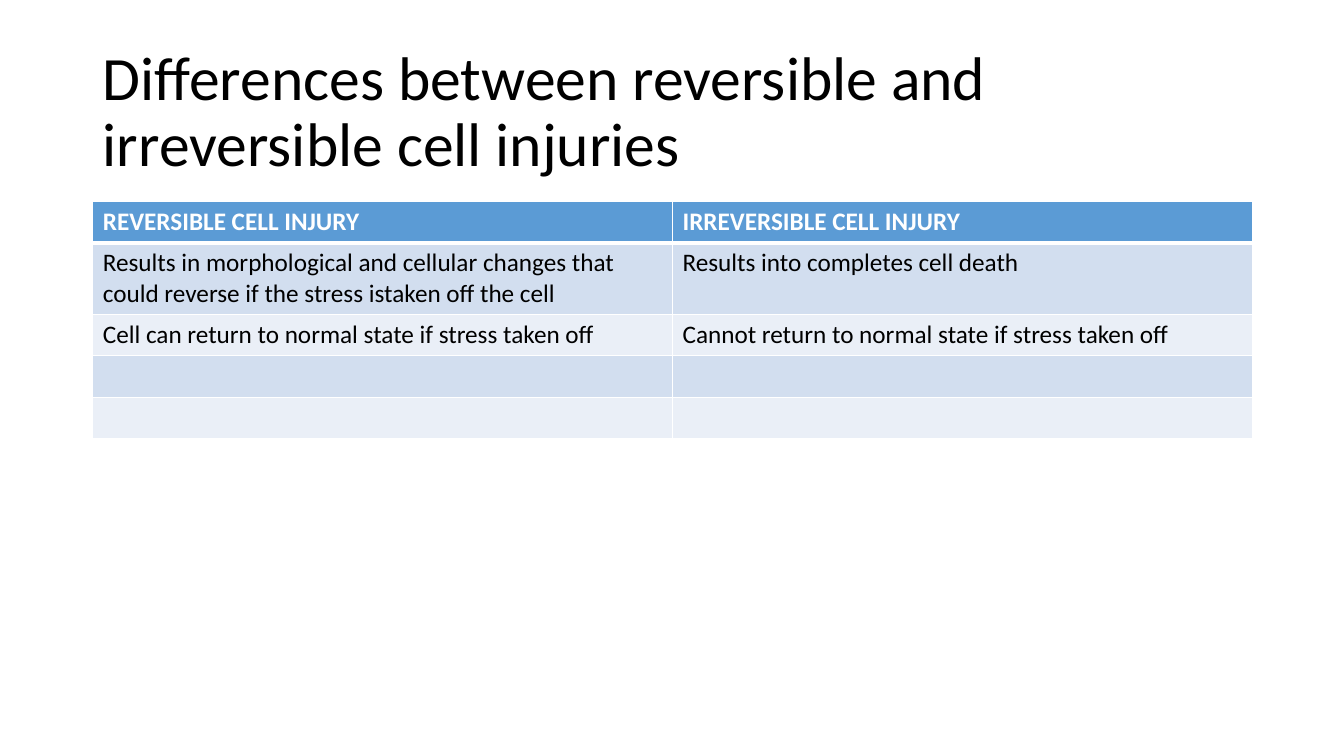
"""Build a slide that compares reversible and irreversible cell injuries."""
import dataclasses

import lxml.etree
import pptx
import pptx.dml.color
import pptx.enum.text
import pptx.oxml.ns
import pptx.table
import pptx.text.text
import pptx.util

Inches = pptx.util.Inches
Pt = pptx.util.Pt
FONT = "Calibri"
LEFT, WIDTH = 0.92, 11.5


@dataclasses.dataclass(frozen=True)
class Row:
    left: str
    right: str
    fill: str
    height: float = 0.41
    ink: str = "000000"
    bold: bool = False
    top: int = 1
    base: int = 1


ROWS = [
    Row("REVERSIBLE CELL INJURY", "IRREVERSIBLE CELL INJURY", "5B9BD5",
        ink="FFFFFF", bold=True, base=3),
    Row("Results in morphological and cellular changes that could reverse "
        "if the stress istaken off the cell",
        "Results into completes cell death", "D2DEEF", height=0.7, top=3),
    Row("Cell can return to normal state if stress taken off",
        "Cannot return to normal state if stress taken off", "EAEFF7"),
    Row("", "", "D2DEEF"),
    Row("", "", "EAEFF7"),
]


def color(code: str) -> pptx.dml.color.RGBColor:
    return pptx.dml.color.RGBColor.from_string(code)


def style(para: pptx.text.text._Paragraph, size: int, ink: str, bold: bool = False) -> None:
    for font in [para.font] + [run.font for run in para.runs]:
        font.name = FONT
        font.size = Pt(size)
        font.bold = bold
        font.color.rgb = color(ink)


def border(cell: pptx.table._Cell, side: str, width: int) -> None:
    qn = pptx.oxml.ns.qn
    props = cell._tc.get_or_add_tcPr()
    line = lxml.etree.SubElement(props, qn(f"a:ln{side}"), w=str(Pt(width)))
    fill = lxml.etree.SubElement(line, qn("a:solidFill"))
    lxml.etree.SubElement(fill, qn("a:srgbClr"), val="FFFFFF")


def draw_cell(cell: pptx.table._Cell, text: str, row: Row) -> None:
    for side, width in zip("LRTB", (1, 1, row.top, row.base)):
        border(cell, side, width)
    cell.fill.solid()
    cell.fill.fore_color.rgb = color(row.fill)
    cell.text_frame.text = text
    style(cell.text_frame.paragraphs[0], 18, row.ink, row.bold)


def main() -> None:
    deck = pptx.Presentation()
    deck.slide_width, deck.slide_height = Inches(13.33), Inches(7.5)
    slide = deck.slides.add_slide(deck.slide_layouts[5])

    title = slide.shapes.title
    title.left, title.top = Inches(LEFT), Inches(0.4)
    title.width, title.height = Inches(WIDTH), Inches(1.45)
    frame = title.text_frame
    frame.text = "Differences between reversible and irreversible cell injuries"
    frame.word_wrap = True
    frame.auto_size = pptx.enum.text.MSO_AUTO_SIZE.NONE
    frame.vertical_anchor = pptx.enum.text.MSO_ANCHOR.MIDDLE
    para = frame.paragraphs[0]
    para.alignment = pptx.enum.text.PP_ALIGN.LEFT
    para.line_spacing = 0.9
    style(para, 44, "000000")

    total = sum(row.height for row in ROWS)
    table = slide.shapes.add_table(
        len(ROWS), 2, Inches(LEFT), Inches(2), Inches(WIDTH), Inches(total)).table
    for index, row in enumerate(ROWS):
        table.rows[index].height = Inches(row.height)
        for col, text in enumerate((row.left, row.right)):
            draw_cell(table.cell(index, col), text, row)

    deck.save("out.pptx")


if __name__ == "__main__":
    main()
